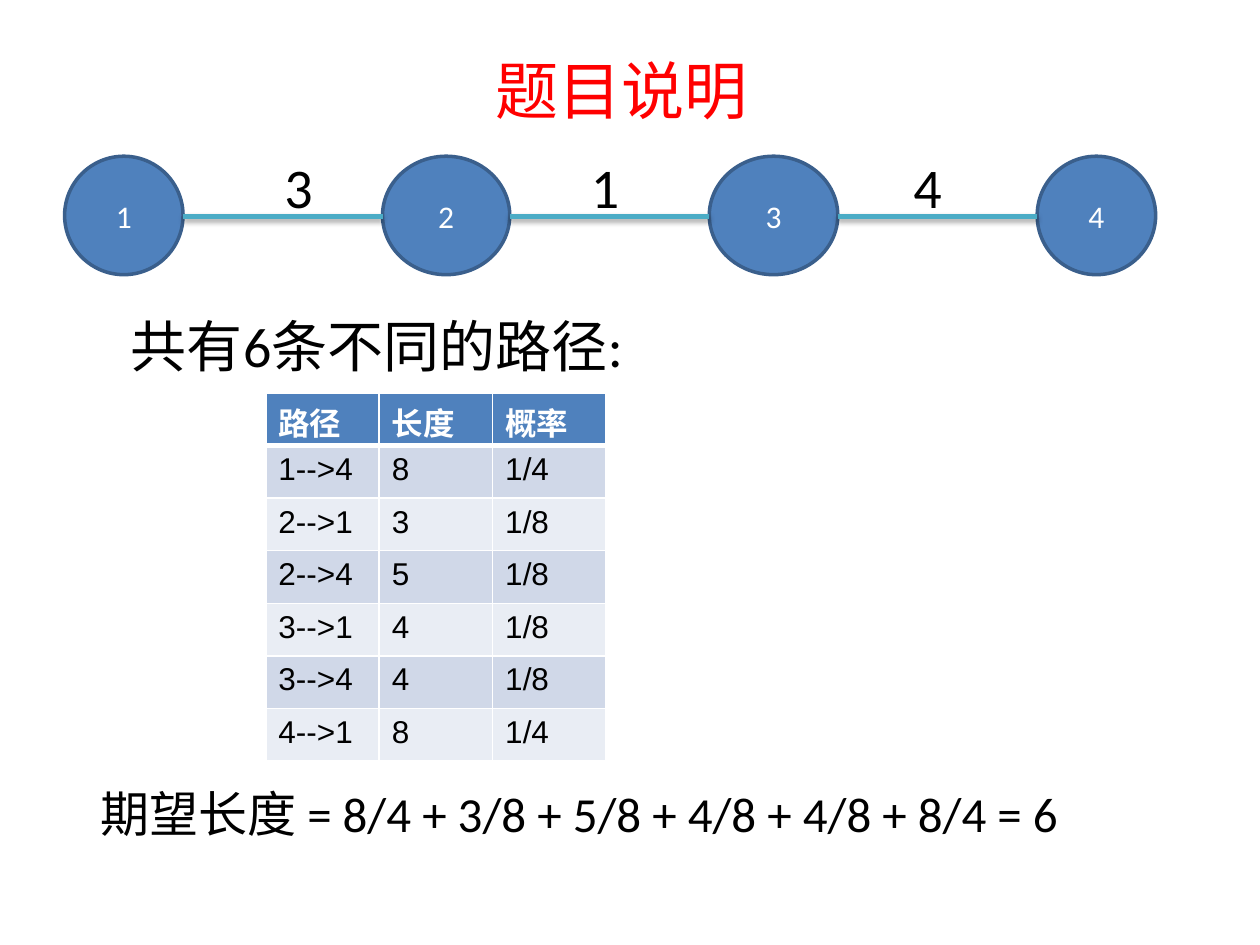
from dataclasses import dataclass

from lxml import etree
from pptx import Presentation
from pptx.dml.color import RGBColor
from pptx.enum.shapes import MSO_CONNECTOR, MSO_SHAPE
from pptx.enum.text import MSO_ANCHOR, MSO_AUTO_SIZE, PP_ALIGN
from pptx.oxml import parse_xml
from pptx.oxml.ns import nsdecls, qn
from pptx.util import Inches, Pt

OVAL, STRAIGHT = MSO_SHAPE.OVAL, MSO_CONNECTOR.STRAIGHT
LEFT, CENTER = PP_ALIGN.LEFT, PP_ALIGN.CENTER
MIDDLE, FIT_SHAPE = MSO_ANCHOR.MIDDLE, MSO_AUTO_SIZE.SHAPE_TO_FIT_TEXT

BLACK = RGBColor(0x00, 0x00, 0x00)
WHITE = RGBColor(0xFF, 0xFF, 0xFF)
RED = RGBColor(0xFF, 0x00, 0x00)
BLUE = RGBColor(0x4F, 0x81, 0xBD)
DARK_BLUE = RGBColor(0x3A, 0x5F, 0x8C)
TEAL = RGBColor(0x4B, 0xAC, 0xC6)
BANDS = (RGBColor(0xD0, 0xD8, 0xE8), RGBColor(0xE9, 0xED, 0xF4))

# The slide is a grid of 100 columns by 75 rows
COLUMNS, ROWS = 100, 75
UNIT = Inches(10) / COLUMNS


def grid(count: float) -> int:
    return round(count * UNIT)


@dataclass(frozen=True)
class Area:
    left: float
    top: float
    width: float
    height: float

    def lengths(self) -> tuple:
        return tuple(map(grid, (self.left, self.top, self.width, self.height)))


@dataclass(frozen=True)
class Edge:
    length: str
    label_left: float
    label_width: float


NODE_WIDTHS = (9.4, 10.1, 10.2, 9.4)
NODE_LEFT, NODE_TOP, NODE_HEIGHT, NODE_GAP = 5.13, 12.4, 9.4, 15.83
EDGE_TOP, LABEL_TOP = 17.2, 11.6
EDGES = (Edge("3", 21.6, 5.3), Edge("1", 45.9, 5.5), Edge("4", 71.5, 8.2))

TABLE_AREA = Area(21.1, 31.2, 27, 29.2)
PATHS = (
    ("路径", "长度", "概率"),
    ("1-->4", "8", "1/4"),
    ("2-->1", "3", "1/8"),
    ("2-->4", "5", "1/8"),
    ("3-->1", "4", "1/8"),
    ("3-->4", "4", "1/8"),
    ("4-->1", "8", "1/4"),
)


def write(frame, text: str, *, size: float, color: RGBColor = BLACK,
          font: str = "Calibri", bold: bool = False, align=LEFT) -> None:
    para = frame.paragraphs[0]
    para.alignment = align
    span = para.add_run()
    span.text = text
    span.font.name, span.font.size = font, Pt(size)
    span.font.bold, span.font.color.rgb = bold, color


def add_text(page, area: Area, text: str, **style) -> None:
    box = page.shapes.add_textbox(*area.lengths())
    box.text_frame.word_wrap = True
    box.text_frame.auto_size = FIT_SHAPE
    write(box.text_frame, text, **style)


def add_node(page, area: Area, name: str) -> None:
    node = page.shapes.add_shape(OVAL, *area.lengths())
    node.shadow.inherit = False
    node.fill.solid()
    node.fill.fore_color.rgb = BLUE
    node.line.color.rgb, node.line.width = DARK_BLUE, Pt(2)
    node.text_frame.vertical_anchor = MIDDLE
    write(node.text_frame, name, size=18, color=WHITE, align=CENTER)


def add_edge(page, start: float, end: float) -> None:
    line = page.shapes.add_connector(
        STRAIGHT, grid(start), grid(EDGE_TOP), grid(end), grid(EDGE_TOP))
    line.line.color.rgb, line.line.width = TEAL, Pt(3)
    line._element.spPr.append(parse_xml(
        f'<a:effectLst {nsdecls("a")}>'
        f'<a:outerShdw blurRad="{Pt(3.1)}" dist="{Pt(1.8)}" dir="5400000" rotWithShape="0">'
        '<a:srgbClr val="000000"><a:alpha val="35000"/></a:srgbClr>'
        '</a:outerShdw></a:effectLst>'))


def set_borders(cell, widths: dict) -> None:
    properties = cell._tc.get_or_add_tcPr()
    for index, (side, width) in enumerate(widths.items()):
        border = etree.Element(qn(f"a:ln{side}"), w=str(Pt(width)))
        fill = etree.SubElement(border, qn("a:solidFill"))
        etree.SubElement(fill, qn("a:srgbClr"), val=str(WHITE))
        properties.insert(index, border)


def add_table(page, area: Area, rows: tuple) -> None:
    table = page.shapes.add_table(len(rows), len(rows[0]), *area.lengths()).table
    for row, values in enumerate(rows):
        header = row == 0
        for column, text in enumerate(values):
            cell = table.cell(row, column)
            cell.fill.solid()
            cell.fill.fore_color.rgb = BLUE if header else BANDS[(row - 1) % 2]
            set_borders(cell, {"L": 1, "R": 1, "T": 3 if row == 1 else 1,
                               "B": 3 if header else 1})
            write(cell.text_frame, text, size=18, font="Arial", bold=header,
                  color=WHITE if header else BLACK)


def add_graph(page) -> None:
    # Nodes follow one another with equal gaps
    areas = []
    left = NODE_LEFT
    for number, width in enumerate(NODE_WIDTHS, start=1):
        area = Area(left, NODE_TOP, width, NODE_HEIGHT)
        add_node(page, area, str(number))
        areas.append(area)
        left += width + NODE_GAP
    # Each edge spans the gap between two neighbours
    for edge, before, after in zip(EDGES, areas, areas[1:]):
        add_edge(page, before.left + before.width, after.left)
        add_text(page, Area(edge.label_left, LABEL_TOP, edge.label_width, 6.4),
                 edge.length, size=32)


def main() -> None:
    deck = Presentation()
    deck.slide_width, deck.slide_height = grid(COLUMNS), grid(ROWS)
    page = deck.slides.add_slide(deck.slide_layouts[6])

    # Title and path graph
    add_text(page, Area(18.5, 3.6, 61.7, 7), "题目说明",
             size=36, color=RED, align=CENTER)
    add_graph(page)

    # Path table and expected length
    add_text(page, Area(9.4, 24.2, 78.9, 6.4), "共有6条不同的路径:", size=32)
    add_table(page, TABLE_AREA, PATHS)
    add_text(page, Area(7, 61.7, 100.8, 5.7),
             "期望长度 = 8/4 + 3/8 + 5/8 + 4/8 + 4/8 + 8/4 = 6", size=28)

    deck.save("out.pptx")


if __name__ == "__main__":
    main()
